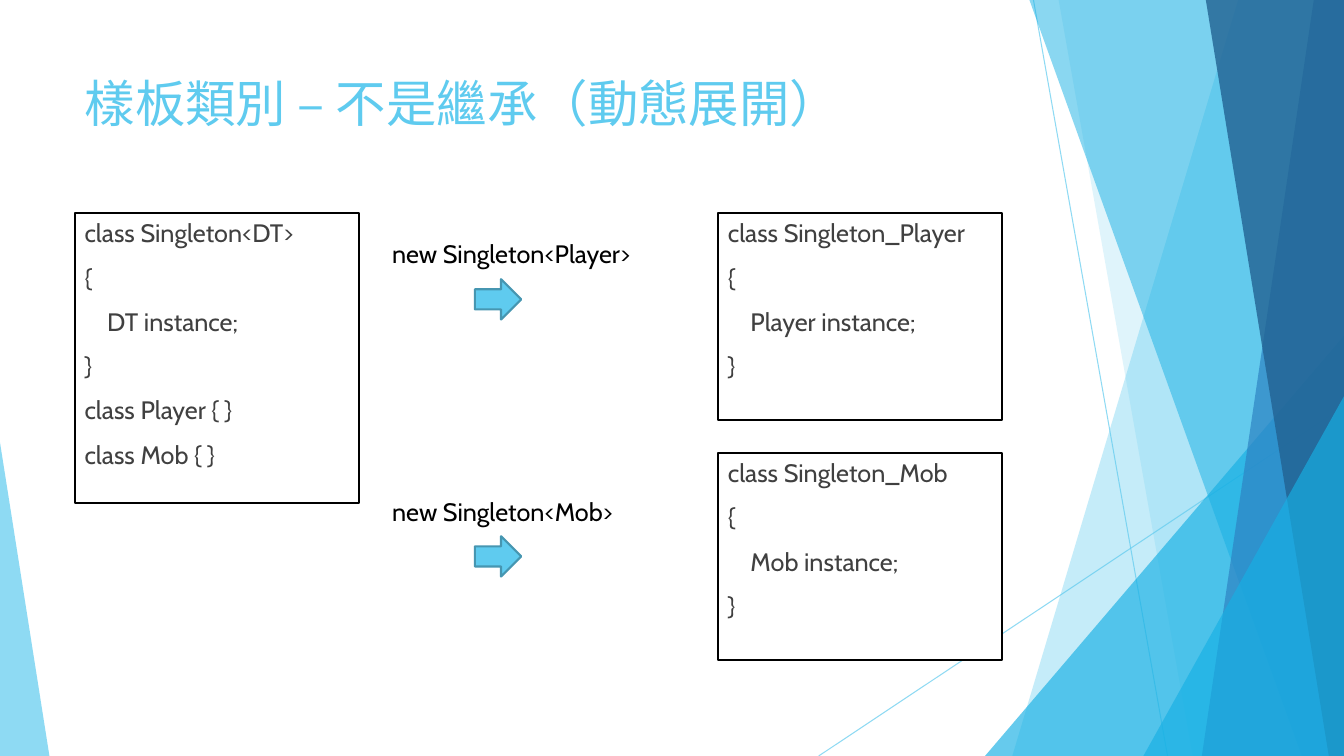
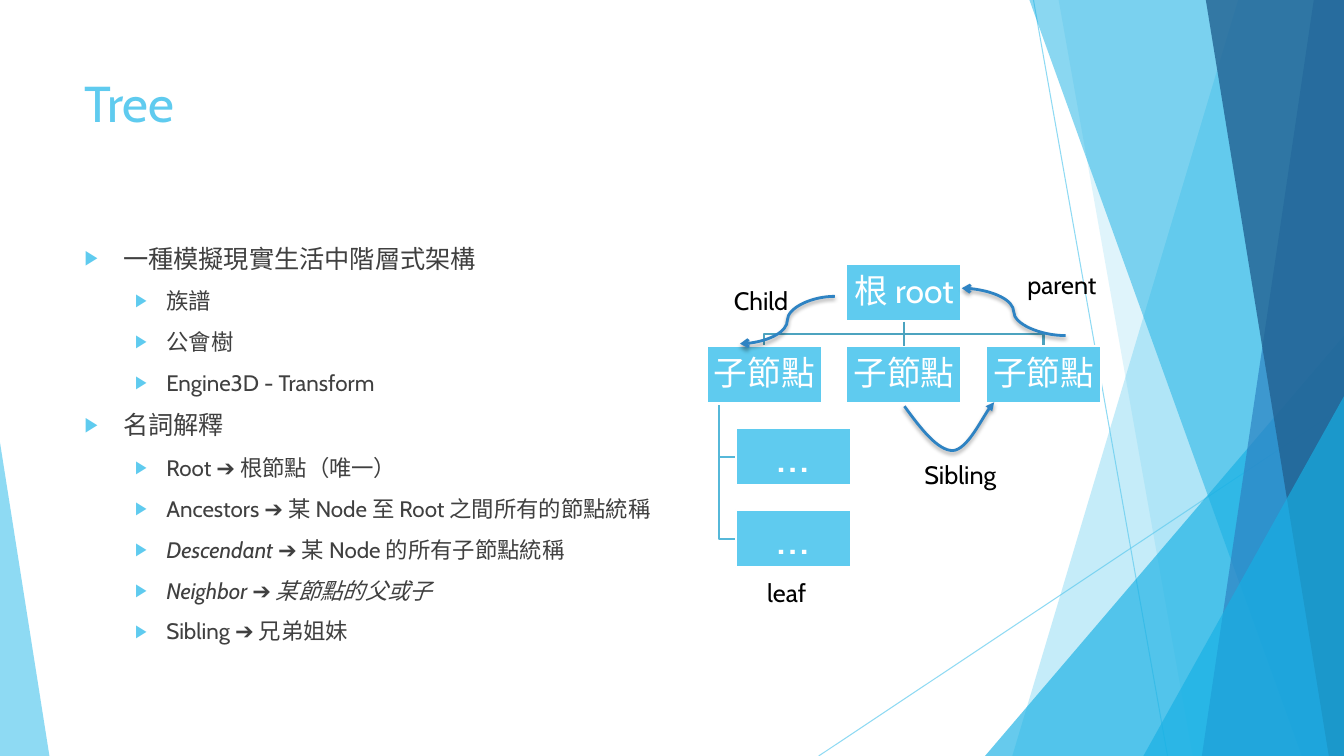
from lxml.etree import SubElement
from pptx import Presentation
from pptx.dml.color import RGBColor
from pptx.enum.shapes import MSO_CONNECTOR as LINK, MSO_SHAPE as SHAPE
from pptx.enum.text import MSO_ANCHOR as ANCHOR, PP_ALIGN as ALIGN
from pptx.oxml.ns import qn
from pptx.util import Inches, Pt

FONT = "Cabin"
WIDTH, HEIGHT = 13.33, 7.5
SKY = RGBColor(0x5F, 0xCB, 0xEF)
CYAN = RGBColor(0x17, 0xB0, 0xE4)
BLUE = RGBColor(0x2E, 0x83, 0xC3)
NAVY = RGBColor(0x22, 0x62, 0x92)
ARROW_EDGE = RGBColor(0x46, 0x96, 0xB1)
BRANCH = RGBColor(0x4C, 0xA3, 0xBF)
LEAF_BRANCH = RGBColor(0x56, 0xB8, 0xD9)
BODY = RGBColor(0x40, 0x40, 0x40)
BLACK = RGBColor(0, 0, 0)
WHITE = RGBColor(0xFF, 0xFF, 0xFF)


# Shared helpers
def inches(*lengths):
    return [Inches(length) for length in lengths]


def write(paragraph, text, size=18, color=BLACK, italic=False):
    run = paragraph.add_run()
    run.text = text
    run.font.name, run.font.size = FONT, Pt(size)
    run.font.color.rgb, run.font.italic = color, italic


def next_paragraph(frame, index, gap=10):
    if index == 0:
        paragraph = frame.paragraphs[0]
        paragraph.space_before = Pt(0)
    else:
        paragraph = frame.add_paragraph()
        paragraph.space_before = Pt(gap)
    return paragraph


def set_alpha(solid_fill, percent):
    SubElement(solid_fill[0], qn("a:alpha"), val=str(percent * 1000))


def paint(shape, fill=None, line=None, width=1.5, alpha=None):
    shape.shadow.inherit = False
    if fill is None:
        shape.fill.background()
    else:
        shape.fill.solid()
        shape.fill.fore_color.rgb = fill
    if alpha:
        set_alpha(shape.element.spPr.find(qn("a:solidFill")), alpha)
    if line is None:
        shape.line.fill.background()
    else:
        shape.line.color.rgb, shape.line.width = line, Pt(width)
    return shape


def add_box(slide, kind, box, **look):
    return paint(slide.shapes.add_shape(kind, *inches(*box)), **look)


def add_path(slide, points, closed=False, **look):
    start, *rest = [inches(*point) for point in points]
    builder = slide.shapes.build_freeform(*start, scale=1.0)
    builder.add_line_segments(rest, close=closed)
    return paint(builder.convert_to_shape(), **look)


def add_link(slide, start, end, color, width, kind=LINK.STRAIGHT):
    link = slide.shapes.add_connector(kind, *inches(*start, *end))
    link.line.color.rgb, link.line.width = color, Pt(width)
    SubElement(link.element.spPr, qn("a:effectLst"))
    return link


def add_label(slide, text, box):
    frame = slide.shapes.add_textbox(*inches(*box)).text_frame
    frame.word_wrap = False
    write(frame.paragraphs[0], text)


def place(placeholder, box):
    placeholder.left, placeholder.top, placeholder.width, placeholder.height = inches(*box)
    frame = placeholder.text_frame
    frame.word_wrap = True
    frame.vertical_anchor = ANCHOR.TOP
    return frame


def add_titled_slide(prs, layout_index, title):
    slide = prs.slides.add_slide(prs.slide_layouts[layout_index])
    frame = place(slide.shapes.title, (0.74, 0.67, 9.4, 1.44))
    frame.paragraphs[0].alignment = ALIGN.LEFT
    write(frame.paragraphs[0], title, size=36, color=SKY)
    return slide


# Facets behind every slide, moved to the master once drawn
def paint_backdrop(slide, master):
    def ray(start, end):
        link = add_link(slide, start, end, SKY, 0.75)
        set_alpha(link.element.spPr.find(qn("a:ln")).find(qn("a:solidFill")), 70)
        return link

    def facet(top_x, bottom_x, color, alpha):
        corners = [(top_x, 0), (WIDTH, 0), (WIDTH, HEIGHT), (bottom_x, HEIGHT)]
        return add_path(slide, corners, closed=True, fill=color, alpha=alpha)

    def corner(left, top, width, apex, color, alpha):
        box = (left, top, width, HEIGHT - top)
        triangle = add_box(slide, SHAPE.ISOSCELES_TRIANGLE, box, fill=color, alpha=alpha)
        triangle.adjustments[0] = apex
        return triangle

    parts = [
        ray((10.25, 0), (11.58, HEIGHT)),
        ray((WIDTH, 4.03), (8.12, HEIGHT)),
        facet(12.28, 10.04, SKY, 36),
        facet(10.5, 11.83, SKY, 20),
        corner(9.77, 3.33, 3.56, 1, CYAN, 66),
        facet(10.21, 12.91, CYAN, 50),
        facet(13.03, 11.92, BLUE, 70),
        facet(11.96, 13.18, NAVY, 80),
        corner(11.34, 3.93, 1.99, 1, CYAN, 66),
        corner(0, 4.39, 0.49, 0, SKY, 70),
    ]
    for index, part in enumerate(parts):
        part.element.xpath(".//p:cNvPr")[0].set("id", str(100 + index))
        master.shapes.element.insert(2 + index, part.element)


# Template classes
def add_code(slide, box, lines):
    frame = add_box(slide, SHAPE.RECTANGLE, box, fill=WHITE, line=BLACK).text_frame
    frame.word_wrap = True
    frame.vertical_anchor = ANCHOR.TOP
    for index, line in enumerate(lines):
        paragraph = next_paragraph(frame, index)
        paragraph.alignment = ALIGN.LEFT
        write(paragraph, line, color=BODY)


def singleton(name, member):
    return [f"class {name}", "{", f"    {member} instance;", "}"]


def add_expansion(slide, box, type_name):
    left, top, width, height = box
    add_box(slide, SHAPE.RIGHT_ARROW, (left + 0.92, top + 0.45, 0.46, 0.4),
            fill=SKY, line=ARROW_EDGE)
    add_label(slide, f"new Singleton<{type_name}>", (left, top, width, height))


def build_template_slide(slide):
    add_code(slide, (0.74, 2.11, 2.82, 2.88),
             singleton("Singleton<DT>", "DT") + ["class Player { }", "class Mob { }"])
    for type_name, label_top, label_width, code_top in [
            ("Player", 2.32, 2.76, 2.11), ("Mob", 4.87, 2.51, 4.49)]:
        add_expansion(slide, (3.79, label_top, label_width, 0.4), type_name)
        add_code(slide, (7.12, code_top, 2.82, 2.06),
                 singleton(f"Singleton_{type_name}", type_name))


# Outline of tree terms: level, then (text, italic) runs
OUTLINE = [
    (0, [("一種模擬現實生活中階層式架構", False)]),
    (1, [("族譜", False)]),
    (1, [("公會樹", False)]),
    (1, [("Engine3D - Transform", False)]),
    (0, [("名詞解釋", False)]),
    (1, [("Root ➔ 根節點（唯一）", False)]),
    (1, [("Ancestors ➔ 某 Node 至 Root 之間所有的節點統稱", False)]),
    (1, [("Descendant ➔ ", True), ("某 Node 的所有子節點統稱", False)]),
    (1, [("Neighbor ➔ 某節點的父或子", True)]),
    (1, [("Sibling ➔ 兄弟姐妹", False)]),
]
LEVELS = [(0.38, -0.38, 18), (0.81, -0.31, 16)]  # margin, indent, text size


def fill_outline(body, box):
    frame = place(body, box)
    for index, (level, runs) in enumerate(OUTLINE):
        margin, indent, size = LEVELS[level]
        paragraph = next_paragraph(frame, index)
        paragraph.level = level
        props = paragraph._p.get_or_add_pPr()
        props.set("marL", str(Inches(margin)))
        props.set("indent", str(Inches(indent)))
        SubElement(SubElement(props, qn("a:buClr")), qn("a:srgbClr"), val=str(SKY))
        SubElement(props, qn("a:buSzPct"), val="80000")
        SubElement(props, qn("a:buChar"), char="▶")
        for text, italic in runs:
            write(paragraph, text, size=size, color=BODY, italic=italic)


# Tree diagram
def add_node(slide, box, text, size=24):
    node = add_box(slide, SHAPE.RECTANGLE, box, fill=SKY, line=WHITE)
    frame = node.text_frame
    frame.word_wrap = True
    frame.vertical_anchor = ANCHOR.MIDDLE
    frame.margin_left = frame.margin_right = Inches(0.02)
    frame.margin_top = frame.margin_bottom = Inches(0.02)
    paragraph = frame.paragraphs[0]
    paragraph.alignment, paragraph.line_spacing = ALIGN.CENTER, 0.9
    write(paragraph, text, size=size, color=WHITE)
    return node


def finish_arrow(shape, head):
    props = shape.element.spPr
    SubElement(props.find(qn("a:ln")), qn("a:tailEnd"), type=head)
    shadow = SubElement(props.find(qn("a:effectLst")), qn("a:outerShdw"),
                        blurRad=str(Pt(3)), dist=str(Pt(2)), dir="5400000", rotWithShape="0")
    color = SubElement(shadow, qn("a:srgbClr"), val=str(BLACK))
    SubElement(color, qn("a:alpha"), val="35000")


def add_bezier(slide, points):
    curve = add_path(slide, points, line=BLUE, width=2)
    outline = curve.element.xpath(".//a:path")[0]
    outline.set("fill", "none")
    steps = outline.findall(qn("a:lnTo"))
    for first in range(0, len(steps), 3):
        bend = SubElement(outline, qn("a:cubicBezTo"))
        for step in steps[first:first + 3]:
            bend.append(step[0])
            outline.remove(step)
    return curve


def draw_tree(slide, box):
    left, top, width, height = box
    node_w, node_h = 1.14, 0.57
    column = (width - node_w) / 2
    row = (height - node_h) / 3
    leaf_left, trunk = left + 0.29, left + 0.12
    root_x, root_bottom = left + column + node_w / 2, top + node_h
    child_top = top + row
    middle = (root_bottom + child_top) / 2

    # Branches
    for side in (1, -1):
        child_x = root_x + side * column
        add_path(slide, [(root_x, root_bottom), (root_x, middle),
                         (child_x, middle), (child_x, child_top)], line=BRANCH)
    for level in (3, 2):
        leaf_y = top + level * row + node_h / 2
        add_path(slide, [(trunk, child_top + node_h), (trunk, leaf_y), (leaf_left, leaf_y)],
                 line=LEAF_BRANCH)

    # Nodes
    root = add_node(slide, (left + column, top, node_w, node_h), "根 root")
    children = [add_node(slide, (left + i * column, child_top, node_w, node_h), "子節點")
                for i in range(3)]
    for level in (2, 3):
        add_node(slide, (leaf_left, top + level * row, node_w, node_h), "…", size=35)
    stem = add_link(slide, (root_x, root_bottom), (root_x, child_top), BRANCH, 1.5)
    stem.begin_connect(root, 2)
    stem.end_connect(children[1], 0)

    # Relations
    for start, end in [((3.56, 0.71), (2.53, 0.24)), ((1.27, 0.32), (0.33, 0.79))]:
        relation = add_link(slide, (left + start[0], top + start[1]),
                            (left + end[0], top + end[1]), BLUE, 2, LINK.CURVE)
        finish_arrow(relation, "arrow")
    swing = [(1.96, 1.41), (2.12, 1.63), (2.29, 1.85), (2.44, 1.85),
             (2.58, 1.84), (2.78, 1.43), (2.85, 1.37)]
    finish_arrow(add_bezier(slide, [(left + x, top + y) for x, y in swing]), "triangle")
    for text, x, y, label_w in [("parent", 3.08, 0, 0.95), ("Child", 0.17, 0.16, 0.78),
                                ("Sibling", 2.06, 1.89, 0.95), ("leaf", 0.5, 3.06, 0.64)]:
        add_label(slide, text, (left + x, top + y, label_w, 0.4))


def main():
    prs = Presentation()
    prs.slide_width, prs.slide_height = inches(WIDTH, HEIGHT)

    template = add_titled_slide(prs, 5, "樣板類別 – 不是繼承（動態展開）")
    paint_backdrop(template, prs.slide_master)
    build_template_slide(template)

    tree = add_titled_slide(prs, 1, "Tree")
    fill_outline(tree.placeholders[1], (0.74, 2.36, 9.4, 4.24))
    draw_tree(tree, (7.01, 2.62, 3.91, 3.01))

    prs.save("out.pptx")


if __name__ == "__main__":
    main()
